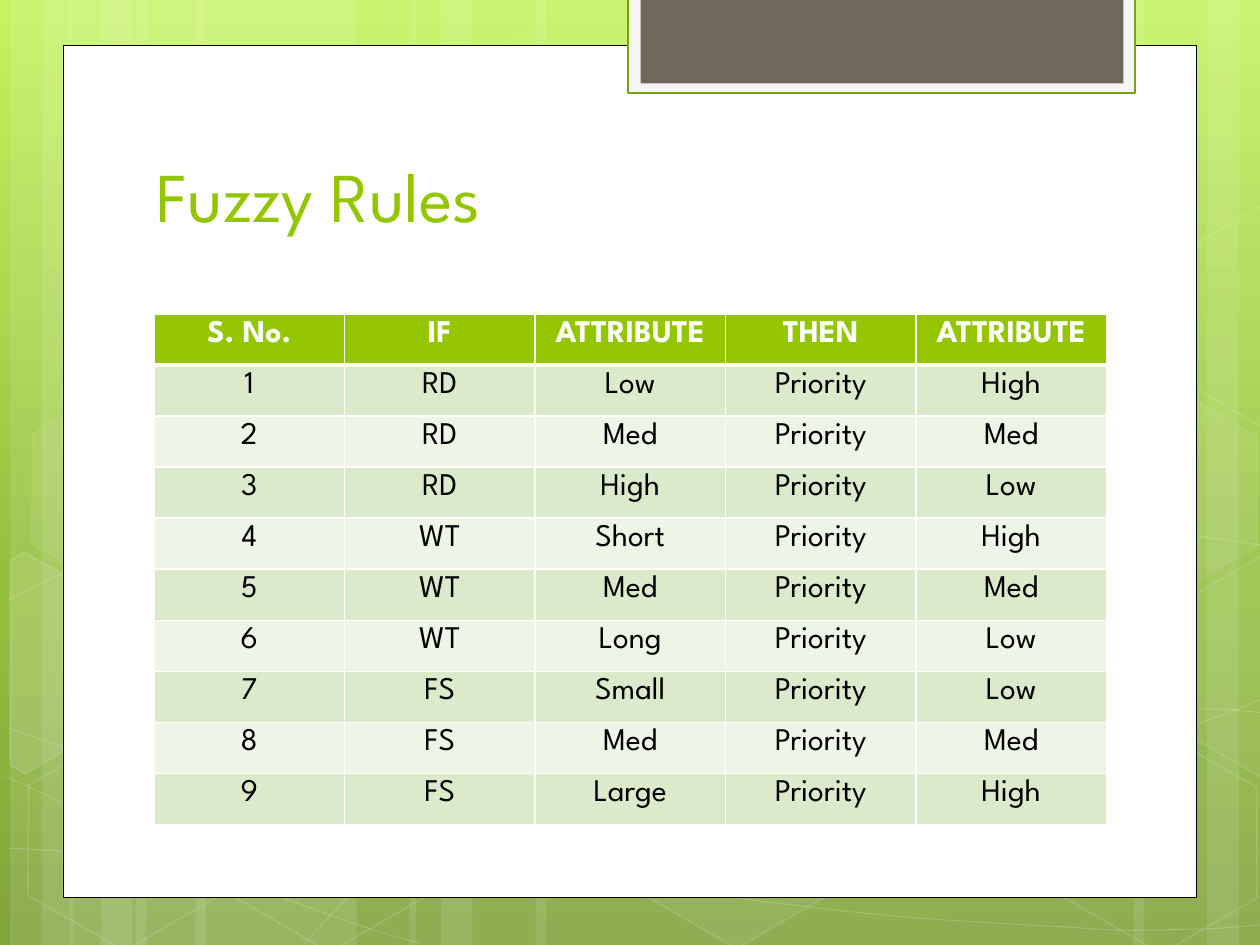
from dataclasses import dataclass
from math import cos, radians, sin
from typing import NamedTuple

from lxml import etree
from pptx import Presentation
from pptx.dml.color import RGBColor
from pptx.enum.shapes import MSO_SHAPE
from pptx.enum.text import MSO_ANCHOR, MSO_AUTO_SIZE, PP_ALIGN
from pptx.oxml.ns import qn
from pptx.util import Pt

RECT, HEXAGON = MSO_SHAPE.RECTANGLE, MSO_SHAPE.HEXAGON
CENTER, LEFT = PP_ALIGN.CENTER, PP_ALIGN.LEFT
BOTTOM, NO_FIT = MSO_ANCHOR.BOTTOM, MSO_AUTO_SIZE.NONE
WIDTH, HEIGHT, TILT = 720, 540, 30


@dataclass(frozen=True)
class Theme:
    font: str = "League Spartan"
    title_size: int = 40
    table_size: int = 18
    accent: str = "94C600"
    white: str = "FFFFFF"
    black: str = "000000"
    bands: tuple = ("DCEACC", "EEF5E7")
    tab: str = "71685A"
    tab_frame: str = "F5F5F5"
    tab_line: str = "74A510"
    backdrop: tuple = ((0, "C3F35F"), (62, "93BF3F"), (100, "81A53E"))


class Box(NamedTuple):
    x: float
    y: float
    w: float
    h: float


class Style(NamedTuple):
    """Fill and line colours, with opacities in percent."""
    fill: str | None = None
    fill_alpha: int = 100
    line: str | None = None
    width: float = 1
    line_alpha: int = 100


class Hexagon(NamedTuple):
    x: float
    y: float
    fill_alpha: int
    line_alpha: int


class CutHexagon(NamedTuple):
    """A tilted hexagon cut off by the slide edge."""
    center: tuple
    fill_alpha: int
    corners: list


class Strand(NamedTuple):
    """Start point, then three control points for each Bezier segment."""
    frame: Box
    controls: list


T = Theme()

# Left edge and width of each translucent stripe
STRIPES = [(77.8, 126), (5.8, 36), (23.8, 60), (111.6, 126), (39.6, 36), (57.6, 60),
           (527.8, 126), (689.8, 36), (648, 60), (306, 221.8), (234, 36), (252, 60)]

STRANDS = [
    Strand(Box(5, 396.7, 720, 92.9), [
        (5, 484.6), (44, 487), (83, 489), (137, 488), (191, 487), (258, 486), (330, 479),
        (402, 472), (504, 458), (570, 444), (636, 431), (703, 409), (725, 397)]),
    Strand(Box(5, 272.9, 720, 70), [
        (5, 343), (26, 332), (47, 321), (87, 310), (128, 300), (186, 284), (250, 279),
        (314, 274), (392, 273), (471, 279), (550, 284), (682, 307), (725, 312)]),
    Strand(Box(4, 444.2, 236.9, 95), [(4, 444), (91, 484), (177, 523), (240, 539)]),
    Strand(Box(5, 416.2, 720, 116.6), [
        (5, 416), (27, 424), (50, 432), (92, 444), (134, 454), (197, 472), (257, 485),
        (317, 497), (392, 510), (452, 517), (512, 525), (576, 528), (614, 530),
        (652, 533), (662, 531), (680, 531), (699, 531), (712, 529), (725, 528)]),
    Strand(Box(174.2, 403.9, 550, 135.4), [
        (174, 539), (187, 525), (200, 510), (217, 498), (235, 485), (259, 470), (279, 460),
        (300, 450), (312, 446), (338, 438), (364, 431), (413, 421), (438, 416),
        (464, 411), (467, 411), (490, 410), (512, 408), (547, 405), (572, 405),
        (597, 404), (638, 405), (638, 405), (654, 405), (670, 405), (686, 405),
        (699, 405), (711, 406), (718, 407), (724, 408), (722, 407), (724, 408)]),
]

HEXAGONS = [Hexagon(240.5, 25.9, 4, 8), Hexagon(357.8, 424.1, 6, 12),
            Hexagon(7.9, 425.5, 0, 12), Hexagon(10.1, 224.6, 7, 8),
            Hexagon(125.3, 426.2, 0, 12), Hexagon(542.2, 326.2, 10, 12),
            Hexagon(600.5, 427, 0, 12), Hexagon(600.5, 226.1, 7, 8)]

CUT_HEXAGONS = [
    CutHexagon((25.9, 385.2), 10, [(5.8, 320.4), (13.7, 315.4), (69.1, 347),
                                   (68.4, 410.4), (14.4, 442.1), (5.8, 437)]),
    CutHexagon((709.2, 374.4), 4, [(666.7, 349.2), (720.7, 317.5), (726.5, 321.1),
                                   (726.5, 441.4), (721.4, 444.2), (666.7, 412.6)]),
    CutHexagon((709.2, 173.5), 0, [(666.7, 149), (720.7, 117.4), (727.2, 121),
                                   (726.5, 241.2), (721.4, 244.1), (666.7, 212.4)]),
]

HEADER = ["S. No.", "IF", "ATTRIBUTE", "THEN", "ATTRIBUTE"]
RULES = [("RD", "Low", "High"), ("RD", "Med", "Med"), ("RD", "High", "Low"),
         ("WT", "Short", "High"), ("WT", "Med", "Med"), ("WT", "Long", "Low"),
         ("FS", "Small", "Low"), ("FS", "Med", "Med"), ("FS", "Large", "High")]


def rgb(color: str) -> RGBColor:
    return RGBColor.from_string(color)


def set_alpha(parent, percent: int) -> None:
    if percent < 100:
        color = parent.find(qn("a:solidFill")).find(qn("a:srgbClr"))
        etree.SubElement(color, qn("a:alpha"), val=str(percent * 1000))


def apply_style(sp, style: Style) -> None:
    sp.shadow.inherit = False
    if style.fill and style.fill_alpha:
        sp.fill.solid()
        sp.fill.fore_color.rgb = rgb(style.fill)
        set_alpha(sp._element.spPr, style.fill_alpha)
    else:
        sp.fill.background()
    if style.line:
        sp.line.color.rgb = rgb(style.line)
        sp.line.width = Pt(style.width)
        set_alpha(sp.line._get_or_add_ln(), style.line_alpha)
    else:
        sp.line.fill.background()


def add_shape(s, kind, box: Box, style: Style):
    sp = s.shapes.add_shape(kind, *map(Pt, box))
    apply_style(sp, style)
    return sp


def add_outline(s, points: list, style: Style, close: bool = True):
    corners = [(Pt(x), Pt(y)) for x, y in points]
    builder = s.shapes.build_freeform(*corners[0])
    builder.add_line_segments(corners[1:], close=close)
    sp = builder.convert_to_shape()
    apply_style(sp, style)
    return sp


def add_strand(s, strand: Strand) -> None:
    x, y, w, h = strand.frame
    style = Style(line=T.white, width=0.5, line_alpha=20)
    sp = add_outline(s, [(x, y), (x + w, y + h)], style, close=False)
    # Swap the straight segment for Bezier segments in the same frame
    track = sp._element.find(".//" + qn("a:path"))
    for child in list(track):
        track.remove(child)
    for i, (px, py) in enumerate(strand.controls):
        if i == 0:
            segment = etree.SubElement(track, qn("a:moveTo"))
        elif i % 3 == 1:
            segment = etree.SubElement(track, qn("a:cubicBezTo"))
        etree.SubElement(segment, qn("a:pt"), x=str(Pt(px - x)), y=str(Pt(py - y)))


def add_cut_hexagon(s, cut: CutHexagon) -> None:
    cx, cy = cut.center
    c, k = cos(radians(TILT)), sin(radians(TILT))
    upright = [(cx + (x - cx) * c + (y - cy) * k, cy - (x - cx) * k + (y - cy) * c)
               for x, y in cut.corners]
    sp = add_outline(s, upright, Style(T.white, cut.fill_alpha, T.white, 1, 12))
    sp.rotation = TILT


def add_hexagon(s, hexagon: Hexagon) -> None:
    x, y, fill_alpha, line_alpha = hexagon
    sp = add_shape(s, HEXAGON, Box(x, y, 126, 109.4),
                   Style(T.white, fill_alpha, T.white, 1, line_alpha))
    sp.adjustments[0] = 0.285
    sp.rotation = TILT


def add_backdrop(s) -> None:
    fill = s.background.fill
    fill.gradient()
    fill.gradient_angle = 270
    stops = s._element.find(".//" + qn("a:gsLst"))
    stops.clear()
    for position, color in T.backdrop:
        stop = etree.SubElement(stops, qn("a:gs"), pos=str(position * 1000))
        etree.SubElement(stop, qn("a:srgbClr"), val=color)


def add_title(s, text: str, box: Box) -> None:
    sp = s.shapes.title
    s.shapes._spTree.append(sp._element)  # bring in front of the panel
    sp.left, sp.top, sp.width, sp.height = map(Pt, box)
    tf = sp.text_frame
    tf.text = text
    tf.auto_size, tf.vertical_anchor = NO_FIT, BOTTOM
    p = tf.paragraphs[0]
    p.alignment = LEFT
    p.font.name, p.font.size = T.font, Pt(T.title_size)
    p.font.color.rgb = rgb(T.accent)


def set_borders(cell, bottom: float) -> None:
    tc_pr = cell._tc.get_or_add_tcPr()
    for i, (side, width) in enumerate((("L", 1), ("R", 1), ("T", 1), ("B", bottom))):
        ln = etree.Element(qn("a:ln" + side), w=str(Pt(width)))
        fill = etree.SubElement(ln, qn("a:solidFill"))
        etree.SubElement(fill, qn("a:srgbClr"), val=T.white)
        tc_pr.insert(i, ln)


def add_table(s, rows: list, box: Box) -> None:
    table = s.shapes.add_table(len(rows), len(rows[0]), *map(Pt, box)).table
    for i, row in enumerate(rows):
        header = i == 0
        for j, text in enumerate(row):
            cell = table.cell(i, j)
            cell.text = text
            cell.fill.solid()
            cell.fill.fore_color.rgb = rgb(T.accent if header else T.bands[(i - 1) % 2])
            set_borders(cell, bottom=3 if header else 1)
            p = cell.text_frame.paragraphs[0]
            p.alignment = CENTER
            p.font.name, p.font.size, p.font.bold = T.font, Pt(T.table_size), header
            p.font.color.rgb = rgb(T.white if header else T.black)


def main() -> None:
    prs = Presentation()
    prs.slide_width, prs.slide_height = Pt(WIDTH), Pt(HEIGHT)
    s = prs.slides.add_slide(prs.slide_layouts[5])

    # Background and its ornament
    add_backdrop(s)
    for x, w in STRIPES:
        add_shape(s, RECT, Box(x, 0, w, HEIGHT), Style(T.white, 10))
    for draw, parts in ((add_strand, STRANDS), (add_hexagon, HEXAGONS),
                        (add_cut_hexagon, CUT_HEXAGONS)):
        for part in parts:
            draw(s, part)

    # White panel with the tab at its top
    add_shape(s, RECT, Box(36, 25.9, 648, 487), Style(T.white, line=T.black, width=0.5))
    add_shape(s, RECT, Box(359, -1.4, 289.6, 54.7),
              Style(T.tab_frame, line=T.tab_line, width=1.25))
    add_shape(s, RECT, Box(366, -1.4, 276, 49), Style(T.tab))

    # Title and rule table
    add_title(s, "Fuzzy Rules", Box(82, 49, 553, 90))
    rows = [HEADER] + [[str(n), variable, value, "Priority", result]
                       for n, (variable, value, result) in enumerate(RULES, 1)]
    add_table(s, rows, Box(88, 179.3, 544.3, 292))
    prs.save("out.pptx")


if __name__ == "__main__":
    main()
